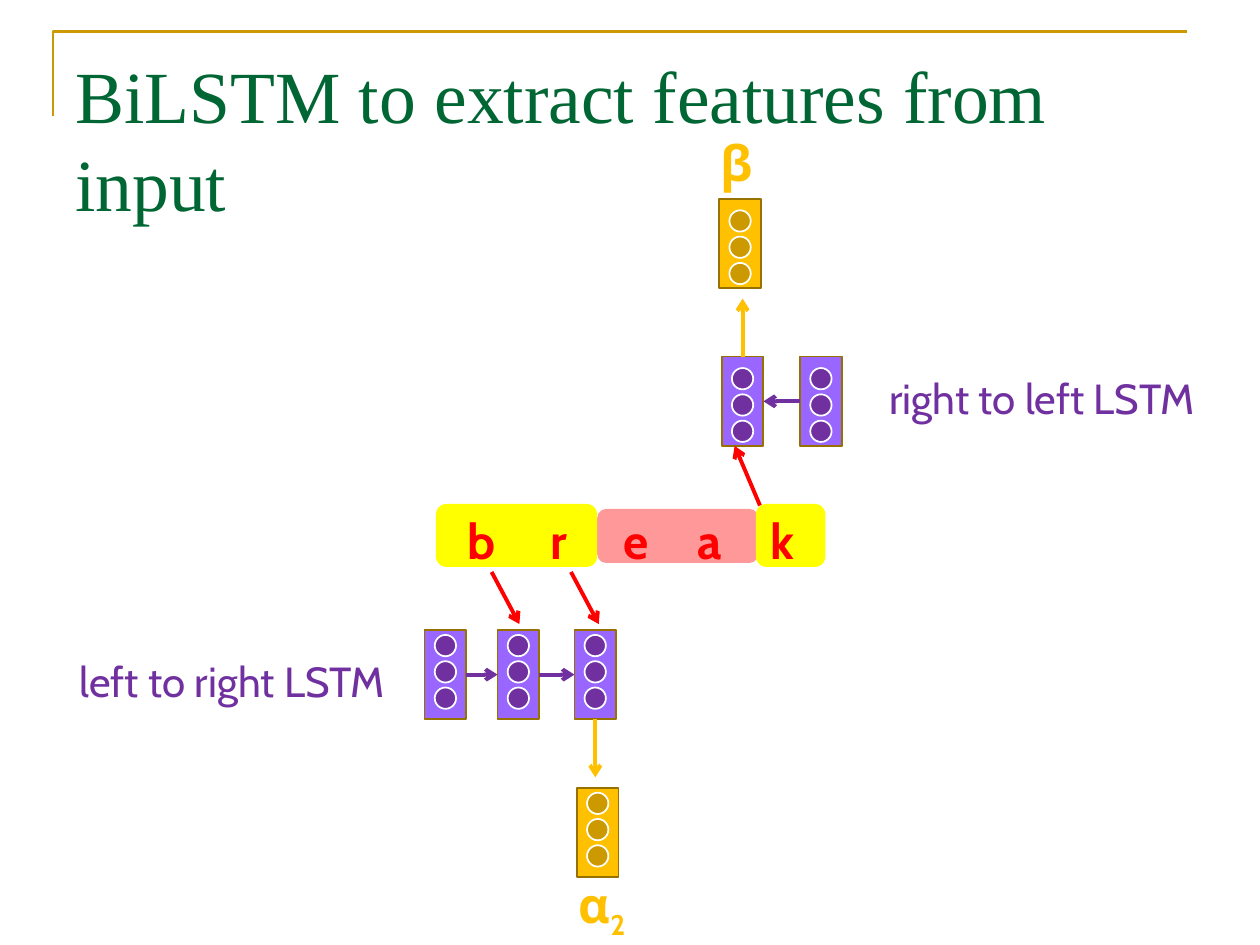
from lxml import etree
from pptx import Presentation
from pptx.dml.color import RGBColor
from pptx.enum.shapes import MSO_CONNECTOR, MSO_SHAPE
from pptx.enum.text import MSO_AUTO_SIZE, PP_ALIGN
from pptx.oxml.ns import qn
from pptx.util import Cm, Pt

WHITE = RGBColor(0xFF, 0xFF, 0xFF)
GREEN = RGBColor(0x00, 0x66, 0x33)
OCHRE = RGBColor(0xCC, 0x99, 0x00)
BROWN = RGBColor(0x97, 0x71, 0x00)
GOLD = RGBColor(0xFF, 0xC0, 0x00)
LILAC = RGBColor(0x99, 0x66, 0xFF)
PURPLE = RGBColor(0x70, 0x30, 0xA0)
RED = RGBColor(0xFF, 0x00, 0x00)
PINK = RGBColor(0xFF, 0x99, 0x99)
YELLOW = RGBColor(0xFF, 0xFF, 0x00)

CELL_W, CELL_H = 0.84, 1.8
DOT, DOT_STEP = 0.43, 0.53
LOWER_TOP, UPPER_TOP = 12.7, 7.19
TOP, LEFT, BOTTOM, RIGHT = range(4)

LETTER = dict(name="Cabin", size=Pt(28), bold=True)
LABEL = dict(name="Cabin", size=Pt(24))
TITLE = dict(name="Times New Roman", size=Pt(42))


def add_box(s, kind, x, y, w, h, fill, line=None):
    sp = s.shapes.add_shape(kind, Cm(x), Cm(y), Cm(w), Cm(h))
    sp.shadow.inherit = False
    sp.fill.solid()
    sp.fill.fore_color.rgb = fill
    if line is None:
        sp.line.fill.background()
    else:
        sp.line.color.rgb = line
        sp.line.width = Pt(1)
    return sp


def add_cell(s, x, y, fill, dot_fill, dot_top=0.1):
    """Draw a state vector: a box with three dots; return the box."""
    cell = add_box(s, MSO_SHAPE.RECTANGLE, x, y, CELL_W, CELL_H, fill, BROWN)
    for i in range(3):
        add_box(s, MSO_SHAPE.OVAL, x + (CELL_W - DOT) / 2,
                y + dot_top + i * DOT_STEP, DOT, DOT, dot_fill, WHITE)
    return cell


def add_arrow(s, color, start, end, begin=None, finish=None):
    """Draw an arrow; begin and finish are optional (shape, site) joints."""
    c = s.shapes.add_connector(MSO_CONNECTOR.STRAIGHT,
                               *(Cm(v) for v in (*start, *end)))
    c.line.color.rgb = color
    c.line.width = Pt(2.25)
    etree.SubElement(c.line._get_or_add_ln(), qn("a:tailEnd"), type="arrow")
    etree.SubElement(c._element.spPr, qn("a:effectLst"))
    if begin:
        c.begin_connect(*begin)
    if finish:
        c.end_connect(*finish)


def add_text(s, text, x, y, w, h, color, font, sub="",
             align=PP_ALIGN.CENTER, wrap=False):
    tf = s.shapes.add_textbox(Cm(x), Cm(y), Cm(w), Cm(h)).text_frame
    tf.word_wrap = wrap
    tf.auto_size = MSO_AUTO_SIZE.NONE if wrap else MSO_AUTO_SIZE.SHAPE_TO_FIT_TEXT
    p = tf.paragraphs[0]
    p.alignment = align
    for part in filter(None, (text, sub)):
        r = p.add_run()
        r.text = part
        for key, value in font.items():
            setattr(r.font, key, value)
        r.font.color.rgb = color
    if sub:
        r.font._element.set("baseline", "-25000")
    return tf


def add_title(s):
    fb = s.shapes.build_freeform(Cm(1.07), Cm(2.34))
    fb.add_line_segments([(Cm(1.07), Cm(0.64)), (Cm(23.93), Cm(0.64))], close=False)
    sp = fb.convert_to_shape()
    sp.shadow.inherit = False
    sp.fill.background()
    sp.line.color.rgb = OCHRE
    sp.line.width = Pt(1.5)
    tf = add_text(s, "BiLSTM to extract features from input", 1.27, 0.76,
                  22.86, 3.18, GREEN, TITLE, align=PP_ALIGN.LEFT, wrap=True)
    tf.margin_top = Cm(0.24)
    tf.paragraphs[0].line_spacing = Pt(50.4)


def add_word(s):
    for x, y, w, h, fill in ((12.04, 10.26, 3.25, 1.09, PINK),
                             (15.24, 10.16, 1.4, 1.27, YELLOW),
                             (8.79, 10.16, 3.25, 1.27, YELLOW)):
        add_box(s, MSO_SHAPE.ROUNDED_RECTANGLE, x, y, w, h, fill)
    for letter, x, w in (("b", 9.17, 1.07), ("r", 10.82, 0.89), ("e", 12.32, 1.02),
                         ("a", 13.82, 0.99), ("k", 15.27, 1.02)):
        add_text(s, letter, x, 10.16, w, 1.45, RED, LETTER)


def add_chain(s, lefts, y, out_side, in_side, dot_top=0.1):
    """Draw LSTM cells in reading order, each joined to the next."""
    cells = [add_cell(s, x, y, LILAC, PURPLE, dot_top) for x in lefts]
    for a, b in zip(cells, cells[1:]):
        add_arrow(s, PURPLE, (0, 0), (0, 0), (a, out_side), (b, in_side))
    return cells


def main():
    prs = Presentation()
    prs.slide_width, prs.slide_height = Cm(25.4), Cm(19.05)
    s = prs.slides.add_slide(prs.slide_layouts[6])

    add_title(s)
    add_word(s)

    # Left to right LSTM and its output
    forward = add_chain(s, (8.56, 10.03, 11.58), LOWER_TOP, RIGHT, LEFT)
    for x in (9.91, 11.51):
        add_arrow(s, RED, (x, 11.53), (x + 0.56, 12.58))
    add_arrow(s, GOLD, (0, 0), (12, 15.67), (forward[-1], BOTTOM))
    add_text(s, "α", 11.35, 17.5, 1.57, 1.45, GOLD, LETTER, "2")
    add_cell(s, 11.63, 15.88, GOLD, OCHRE)
    add_text(s, "left to right LSTM", 1.27, 13.08, 6.83, 1.27, PURPLE, LABEL)

    # Right to left LSTM and its output
    backward = add_chain(s, (16.13, 14.55), UPPER_TOP, LEFT, RIGHT, 0.23)
    add_arrow(s, RED, (15.32, 10.19), (14.81, 8.99))
    add_arrow(s, GOLD, (0, 0), (14.97, 6.02), (backward[-1], TOP))
    add_text(s, "β", 14.12, 2.54, 1.47, 1.45, GOLD, LETTER, "4")
    add_cell(s, 14.5, 4.01, GOLD, OCHRE, 0.23)
    add_text(s, "right to left LSTM", 17.68, 7.39, 6.83, 1.27, PURPLE, LABEL,
             align=PP_ALIGN.LEFT)

    prs.save("out.pptx")


if __name__ == "__main__":
    main()
